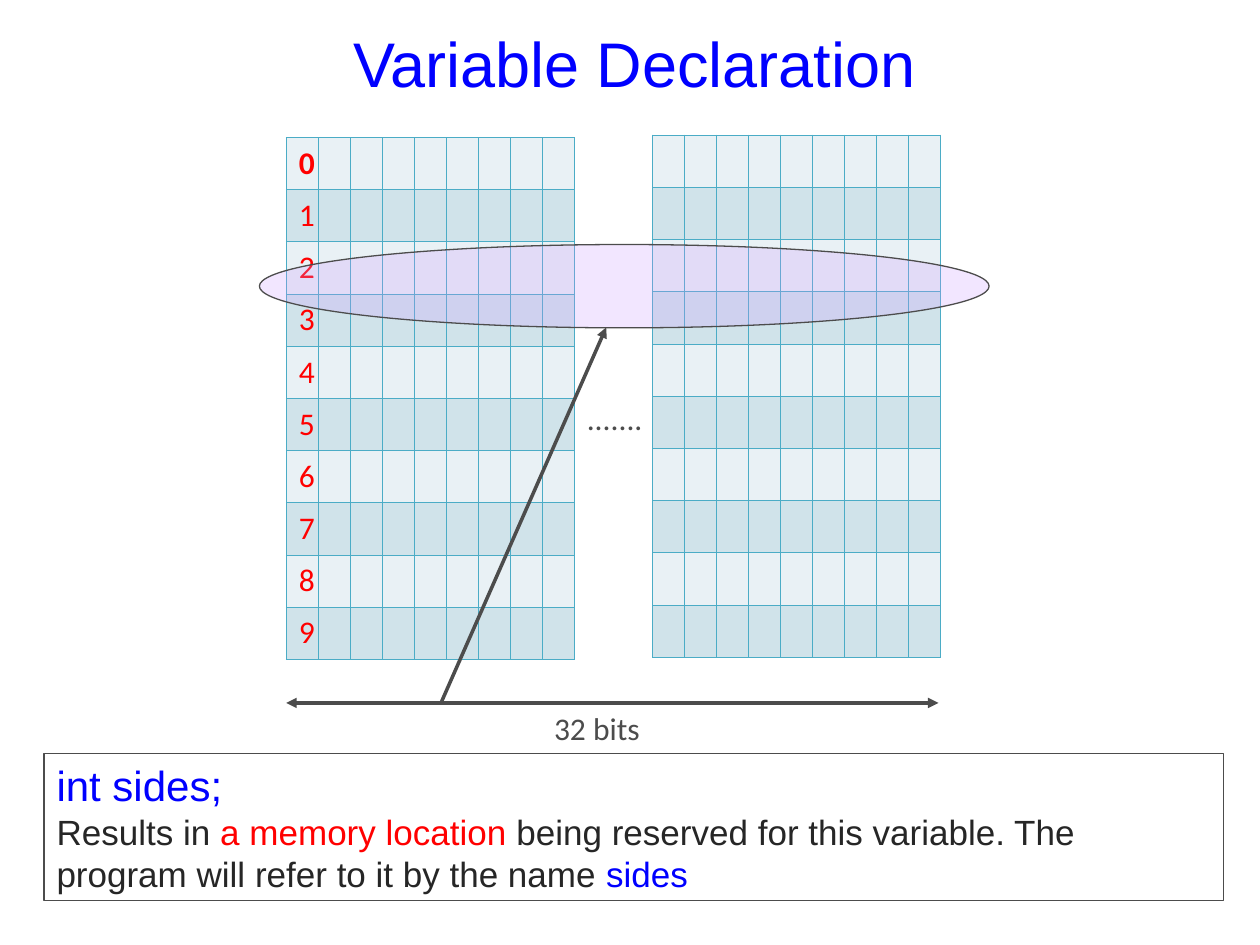
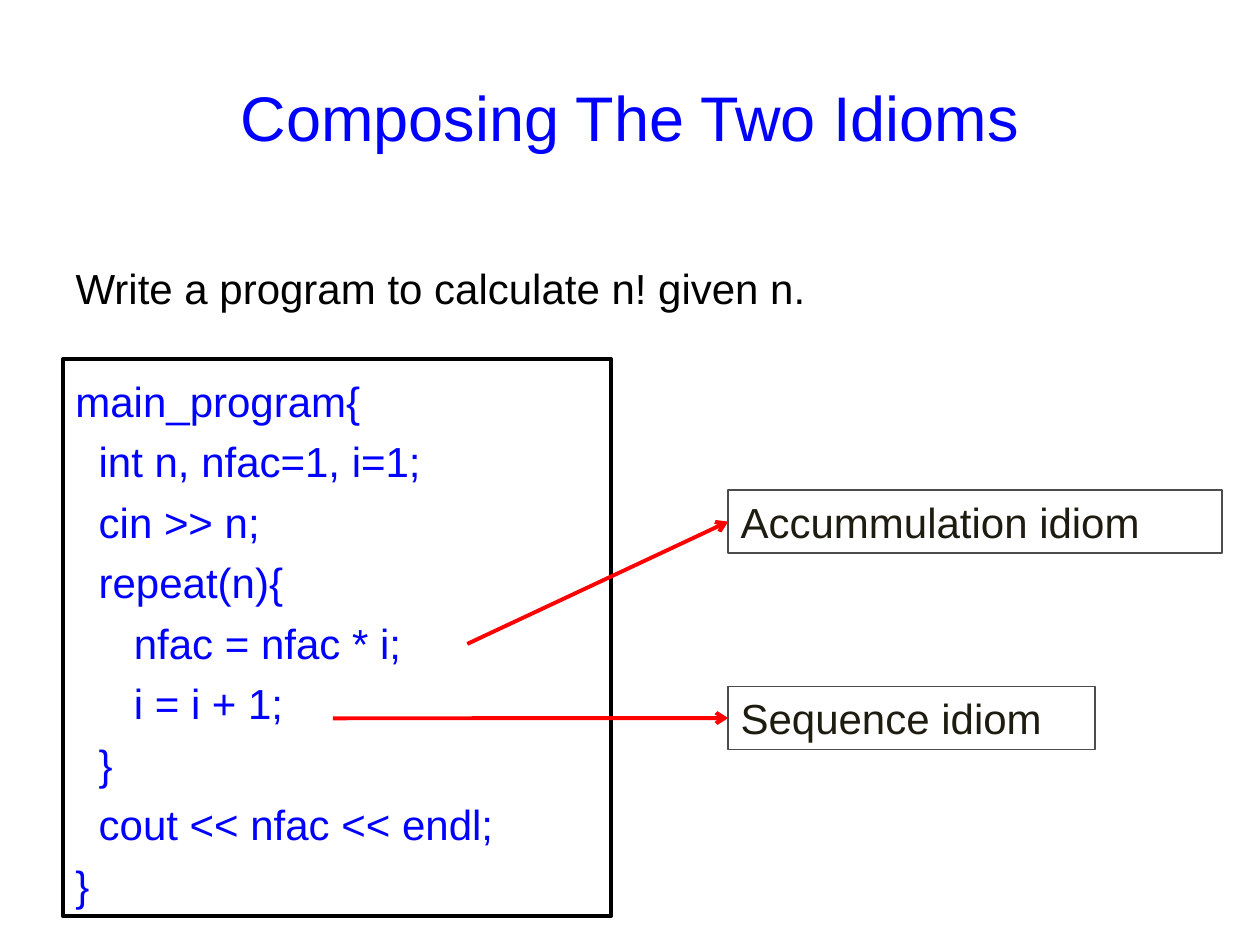
from dataclasses import dataclass

import pptx
import pptx.dml.color
import pptx.enum.shapes
import pptx.enum.text
import pptx.oxml
import pptx.oxml.ns
import pptx.util
from pptx.util import Cm

SHAPE = pptx.enum.shapes.MSO_SHAPE
ALIGN = pptx.enum.text.PP_ALIGN
ANCHOR = pptx.enum.text.MSO_ANCHOR


@dataclass(frozen=True)
class Theme:
    blue: str = "0000FF"
    red: str = "FF0000"
    black: str = "000000"
    grey: str = "4C4C4C"
    prose: str = "262626"
    label: str = "1E1C11"
    highlight: str = "CC99FF"
    highlight_alpha: int = 24
    grid_border: str = "4BACC6"
    grid_bands: tuple = ("E9F1F5", "D0E3EA")
    sans: str = "Arial"
    diagram: str = "Calibri"
    title_size: int = 36
    code_size: int = 24
    prose_size: int = 20
    diagram_size: int = 18


THEME = Theme()

# Boxes are (left, top, width, height) and points are (x, y), all in centimetres.
DECLARATION = {
    "title": ("Variable Declaration", (1.27, 0.05, 23.04, 2.41)),
    "addresses": list(range(10)),
    "bits_per_grid": 9,
    "low_bits": (5.77, 2.77, 5.82, 10.52),
    "high_bits": (13.16, 2.72, 5.79, 10.54),
    "omitted_bits": (".......", (11.58, 7.92, 2.18, 1.02)),
    "word_width": ("32 bits", (10.92, 14.17, 2.24, 1.02)),
    "width_arrow": ((5.77, 14.17), (18.92, 14.17)),
    "pointer": ((8.89, 14.17), (12.22, 6.6)),
    "reserved_word": (5.23, 4.93, 14.71, 1.68),
    "explanation_box": (0.89, 15.19, 23.77, 2.97),
    "explanation": [
        [("int sides;", THEME.blue, THEME.code_size)],
        [
            ("Results in ", THEME.prose, THEME.prose_size),
            ("a memory location", THEME.red, THEME.prose_size),
            (" being reserved for this variable. The program will refer to it by the name ",
             THEME.prose, THEME.prose_size),
            ("sides", THEME.blue, THEME.prose_size),
        ],
    ],
}

IDIOMS = {
    "title": ("Composing The Two Idioms", (1.27, 0.76, 22.86, 3.18)),
    "task": ("Write a program to calculate n! given n.", (1.27, 4.04, 22.86, 2.79)),
    "code_box": (1.27, 7.24, 11.05, 11.23),
    # (indent in cm, statement)
    "code": [
        (0, "main_program{"),
        (0.47, "int n, nfac=1, i=1;"),
        (0.47, "cin >> n;"),
        (0.47, "repeat(n){"),
        (1.18, "nfac = nfac * i;"),
        (1.18, "i = i + 1;"),
        (0.47, "}"),
        (0.47, "cout << nfac << endl;"),
        (0, "}"),
    ],
    # (label, box, start of its arrow)
    "labels": [
        ("Accummulation idiom", (14.68, 9.88, 9.96, 1.27), (9.42, 12.98)),
        ("Sequence idiom", (14.68, 13.84, 7.39, 1.27), (6.71, 14.48)),
    ],
}


def rgb(colour):
    return pptx.dml.color.RGBColor.from_string(colour)


def cm(lengths):
    return [Cm(length) for length in lengths]


def xml(tag, inner="", **attributes):
    listed = "".join(f' {name}="{value}"' for name, value in attributes.items())
    return pptx.oxml.parse_xml(
        f'<a:{tag} {pptx.oxml.ns.nsdecls("a")}{listed}>{inner}</a:{tag}>')


def style(paragraph, colour, size, font=THEME.sans, bold=False):
    for run in paragraph.runs:
        run.font.name = font
        run.font.size = pptx.util.Pt(size)
        run.font.bold = bold
        run.font.color.rgb = rgb(colour)


def fill_placeholder(placeholder, content, colour, size):
    text, box = content
    placeholder.left, placeholder.top, placeholder.width, placeholder.height = cm(box)
    frame = placeholder.text_frame
    frame.text = text
    frame.auto_size = pptx.enum.text.MSO_AUTO_SIZE.NONE
    style(frame.paragraphs[0], colour, size)
    return frame


def add_titled_slide(deck, layout, title):
    slide = deck.slides.add_slide(deck.slide_layouts[layout])
    frame = fill_placeholder(slide.shapes.title, title, THEME.blue, THEME.title_size)
    frame.vertical_anchor = ANCHOR.MIDDLE
    frame.paragraphs[0].alignment = ALIGN.CENTER
    return slide


def add_outline(slide, preset, box, colour, width):
    outline = slide.shapes.add_shape(preset, *cm(box))
    outline.shadow.inherit = False
    outline.fill.background()
    outline.line.color.rgb = rgb(colour)
    outline.line.width = pptx.util.Pt(width)
    outline.text_frame.vertical_anchor = ANCHOR.TOP
    outline.text_frame.paragraphs[0].alignment = ALIGN.LEFT
    return outline


def add_arrow(slide, start, end, colour, width, tail, head="none"):
    arrow = slide.shapes.add_connector(
        pptx.enum.shapes.MSO_CONNECTOR.STRAIGHT, *cm(start + end))
    arrow.line.color.rgb = rgb(colour)
    arrow.line.width = pptx.util.Pt(width)
    line = arrow.line._get_or_add_ln()
    line.append(xml("headEnd", type=head))
    line.append(xml("tailEnd", type=tail))
    arrow._element.spPr.append(xml("effectLst"))
    return arrow


def add_note(slide, content, wrap):
    text, box = content
    frame = slide.shapes.add_textbox(*cm(box)).text_frame
    frame.word_wrap = wrap
    frame.text = text
    style(frame.paragraphs[0], THEME.grey, THEME.diagram_size, THEME.diagram)


def add_bit_grid(slide, box, rows, columns):
    grid = slide.shapes.add_table(rows, columns, *cm(box)).table
    grid.first_row = grid.horz_banding = False
    for row_number, row in enumerate(grid.rows):
        for cell in row.cells:
            cell.margin_top = cell.margin_bottom = cell.margin_right = 0
            cell.vertical_anchor = ANCHOR.MIDDLE
            cell.fill.solid()
            cell.fill.fore_color.rgb = rgb(THEME.grid_bands[row_number % 2])
            border = f'<a:solidFill><a:srgbClr val="{THEME.grid_border}"/></a:solidFill>'
            for position, side in enumerate(("lnL", "lnR", "lnT", "lnB")):
                cell._tc.get_or_add_tcPr().insert(position, xml(side, border, w=5715))
    return grid


def build_declaration(deck):
    part = DECLARATION
    slide = add_titled_slide(deck, 5, part["title"])
    addresses = part["addresses"]
    low_bits, _ = [add_bit_grid(slide, part[name], len(addresses), part["bits_per_grid"])
                   for name in ("low_bits", "high_bits")]
    for row, address in enumerate(addresses):
        cell = low_bits.cell(row, 0)
        cell.text_frame.text = str(address)
        style(cell.text_frame.paragraphs[0], THEME.red, THEME.diagram_size,
              THEME.diagram, bold=row == 0)

    add_note(slide, part["omitted_bits"], wrap=True)
    add_arrow(slide, *part["width_arrow"], THEME.grey, 2, "triangle", "triangle")
    add_note(slide, part["word_width"], wrap=False)

    explanation = add_outline(slide, SHAPE.RECTANGLE, part["explanation_box"],
                              THEME.grey, 0.75).text_frame
    explanation.text = "\n".join(
        "".join(text for text, _, _ in pieces) for pieces in part["explanation"])
    for paragraph, pieces in zip(explanation.paragraphs, part["explanation"]):
        paragraph.alignment = ALIGN.LEFT
        paragraph.text = ""
        for text, colour, size in pieces:
            run = paragraph.add_run()
            run.text = text
            run.font.name = THEME.sans
            run.font.size = pptx.util.Pt(size)
            run.font.color.rgb = rgb(colour)

    add_arrow(slide, *part["pointer"], THEME.grey, 2, "triangle")
    reserved_word = add_outline(slide, SHAPE.OVAL, part["reserved_word"], THEME.grey, 0.75)
    reserved_word.fill.solid()
    reserved_word.fill.fore_color.rgb = rgb(THEME.highlight)
    colour = reserved_word._element.spPr.find(
        f'{pptx.oxml.ns.qn("a:solidFill")}/{pptx.oxml.ns.qn("a:srgbClr")}')
    colour.append(xml("alpha", val=THEME.highlight_alpha * 1000))


def build_idioms(deck):
    part = IDIOMS
    slide = add_titled_slide(deck, 1, part["title"])
    task = fill_placeholder(slide.placeholders[1], part["task"],
                            THEME.black, THEME.code_size).paragraphs[0]
    task.line_spacing = 2.1
    task.space_before = 0
    properties = task._p.get_or_add_pPr()
    properties.set("marL", "0")
    properties.set("indent", "0")
    properties.append(xml("buNone"))

    code = add_outline(slide, SHAPE.RECTANGLE, part["code_box"], THEME.black, 2.25).text_frame
    code.text = "\n".join(statement for _, statement in part["code"])
    for paragraph, (indent, _) in zip(code.paragraphs, part["code"]):
        paragraph.alignment = ALIGN.LEFT
        paragraph.line_spacing = 1.2
        paragraph._p.get_or_add_pPr().set("marL", str(int(Cm(indent))))
        style(paragraph, THEME.blue, THEME.code_size)

    idioms = []
    for name, box, _ in part["labels"]:
        idiom = add_outline(slide, SHAPE.RECTANGLE, box, THEME.grey, 1)
        idiom.text_frame.text = name
        style(idiom.text_frame.paragraphs[0], THEME.label, THEME.code_size)
        idioms.append(idiom)
    for idiom, (_, box, start) in zip(idioms, part["labels"]):
        arrow = add_arrow(slide, start, box[:2], THEME.red, 2.25, "arrow")
        arrow.end_connect(idiom, 1)


def main():
    deck = pptx.Presentation()
    deck.slide_width, deck.slide_height = Cm(25.4), Cm(19.05)
    build_declaration(deck)
    build_idioms(deck)
    deck.save("out.pptx")


if __name__ == "__main__":
    main()
